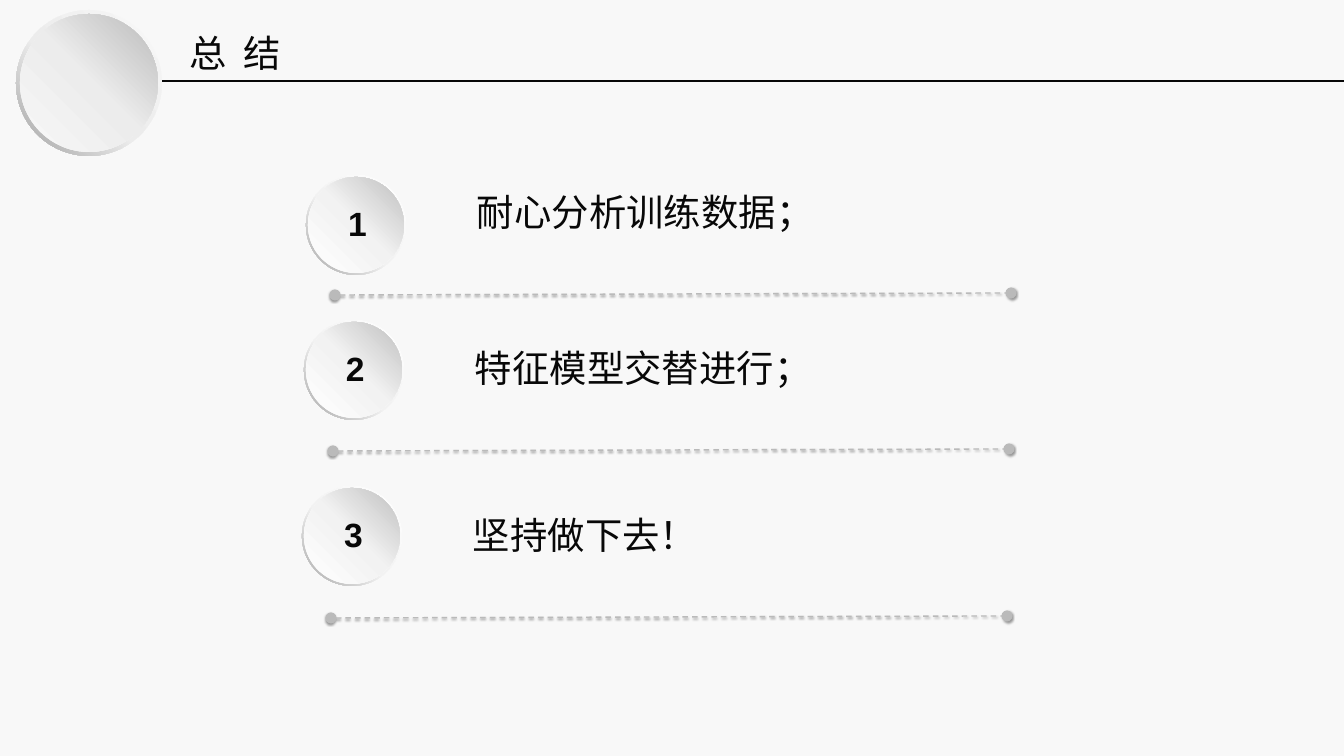
from lxml.etree import SubElement
from pptx import Presentation
from pptx.dml.color import RGBColor
from pptx.enum.dml import MSO_LINE
from pptx.enum.shapes import MSO_CONNECTOR, MSO_SHAPE
from pptx.enum.text import MSO_AUTO_SIZE, PP_ALIGN
from pptx.oxml.ns import qn
from pptx.util import Pt

PX = 914400 / 134.4
THEME = {
    "background": "F8F8F8", "ink": "080808", "rule": "BABABA", "shadow": "000000",
    "latin": "Arial", "chinese": "Noto Sans CJK SC",
    "text_size": 20, "number_size": 18, "line_width": 0.75,
    "large_ring": ("F8F8F8", "ECECEC", "A1A1A1"),
    "large_disc": ("F8F8F8", "ECECEC", "BABABA"),
    "small_ring": ("FFFFFF", "F2F2F2", "A6A6A6"),
    "small_disc": ("FFFFFF", "F2F2F2", "BFBFBF"),
}

presentation = Presentation()
presentation.slide_width = round(1344 * PX)
presentation.slide_height = round(756 * PX)
slide = presentation.slides.add_slide(presentation.slide_layouts[6])
slide.background.fill.solid()
slide.background.fill.fore_color.rgb = RGBColor.from_string(THEME["background"])


def add_text(text, *, box, size, font=THEME["latin"], bold=False, wrap=True,
             align=PP_ALIGN.LEFT, margins=(13, 7), spacing=None):
    shape = slide.shapes.add_textbox(*[round(value * PX) for value in box])
    frame = shape.text_frame
    frame.word_wrap = wrap
    frame.auto_size = MSO_AUTO_SIZE.SHAPE_TO_FIT_TEXT
    frame.margin_left, frame.margin_top = [round(value * PX) for value in margins]
    frame.margin_bottom = frame.margin_top
    paragraph = frame.paragraphs[0]
    paragraph.alignment = align
    if spacing:
        paragraph.line_spacing = Pt(spacing)
    run = paragraph.add_run()
    run.text = text
    run.font.size = Pt(size)
    run.font.bold = bold
    run.font.name = font
    run.font.color.rgb = RGBColor.from_string(THEME["ink"])
    SubElement(run.font._element, qn("a:ea"), typeface=THEME["chinese"])


def add_badge(left, top, ring_size, disc_size, style):
    group = slide.shapes.add_group_shape()
    inset = (ring_size - disc_size) / 2
    parts = (
        (MSO_SHAPE.DONUT, 0, ring_size, style + "_ring", 55, 225),
        (MSO_SHAPE.OVAL, inset, disc_size, style + "_disc", 51, 45),
    )
    for kind, offset, size, colors, middle, angle in parts:
        shape = group.shapes.add_shape(
            kind, round((left + offset) * PX), round((top + offset) * PX),
            round(size * PX), round(size * PX))
        if kind == MSO_SHAPE.DONUT:
            shape.adjustments[0] = 0.05
        shape.shadow.inherit = False
        shape.line.fill.background()
        shape.fill.gradient()
        shape.fill.gradient_angle = angle
        stops = shape._element.spPr.find(qn("a:gradFill")).find(qn("a:gsLst"))
        for stop in list(stops):
            stops.remove(stop)
        for position, color in zip((0, middle, 100), THEME[colors]):
            stop = SubElement(stops, qn("a:gs"), pos=str(position * 1000))
            SubElement(stop, qn("a:srgbClr"), val=color)


add_text("总  结", box=(142, 23, 500, 59), size=THEME["text_size"],
         font=THEME["chinese"], margins=(47, 7))
add_badge(16, 10, 146, 138, "large")

rows = (
    ("耐心分析训练数据；", 306, 175, 192),
    ("特征模型交替进行；", 304, 320, 348),
    ("坚持做下去！", 302, 486, 515),
)
lines = [((142, 81), (1344, 81), False)]
for number, (text, left, top, text_top) in enumerate(rows, 1):
    add_badge(left, top, 100, 96, "small")
    add_text(str(number), box=(left + 29, top + 21, 45, 54), size=THEME["number_size"],
             bold=True, wrap=False, align=PP_ALIGN.CENTER)
    add_text(text, box=(left + 161, text_top, 721, 47), size=THEME["text_size"],
             margins=(10, 5), spacing=20)
    lines.append(((left + 29, text_top + 103), (left + 705, text_top + 101), True))

for start, end, dotted in lines:
    connector = slide.shapes.add_connector(
        MSO_CONNECTOR.STRAIGHT, *[round(value * PX) for value in start + end])
    connector.line.width = Pt(THEME["line_width"])
    connector.line.color.rgb = RGBColor.from_string(THEME["rule" if dotted else "ink"])
    if dotted:
        connector.line.dash_style = MSO_LINE.DASH
        for tag in ("a:headEnd", "a:tailEnd"):
            SubElement(connector.line._get_or_add_ln(), qn(tag), type="oval")
    effects = SubElement(connector._element.spPr, qn("a:effectLst"))
    if dotted:
        shadow = SubElement(effects, qn("a:outerShdw"), blurRad="12700", dist="6350",
                            dir="5400000", algn="t", rotWithShape="0")
        color = SubElement(shadow, qn("a:srgbClr"), val=THEME["shadow"])
        SubElement(color, qn("a:alpha"), val="38000")

# The rule runs behind the large badge.
header_badge = slide.shapes[1]._element
header_rule = next(shape for shape in slide.shapes if shape.width == round(1344 * PX) - round(142 * PX))
header_badge.addprevious(header_rule._element)

presentation.save("out.pptx")
